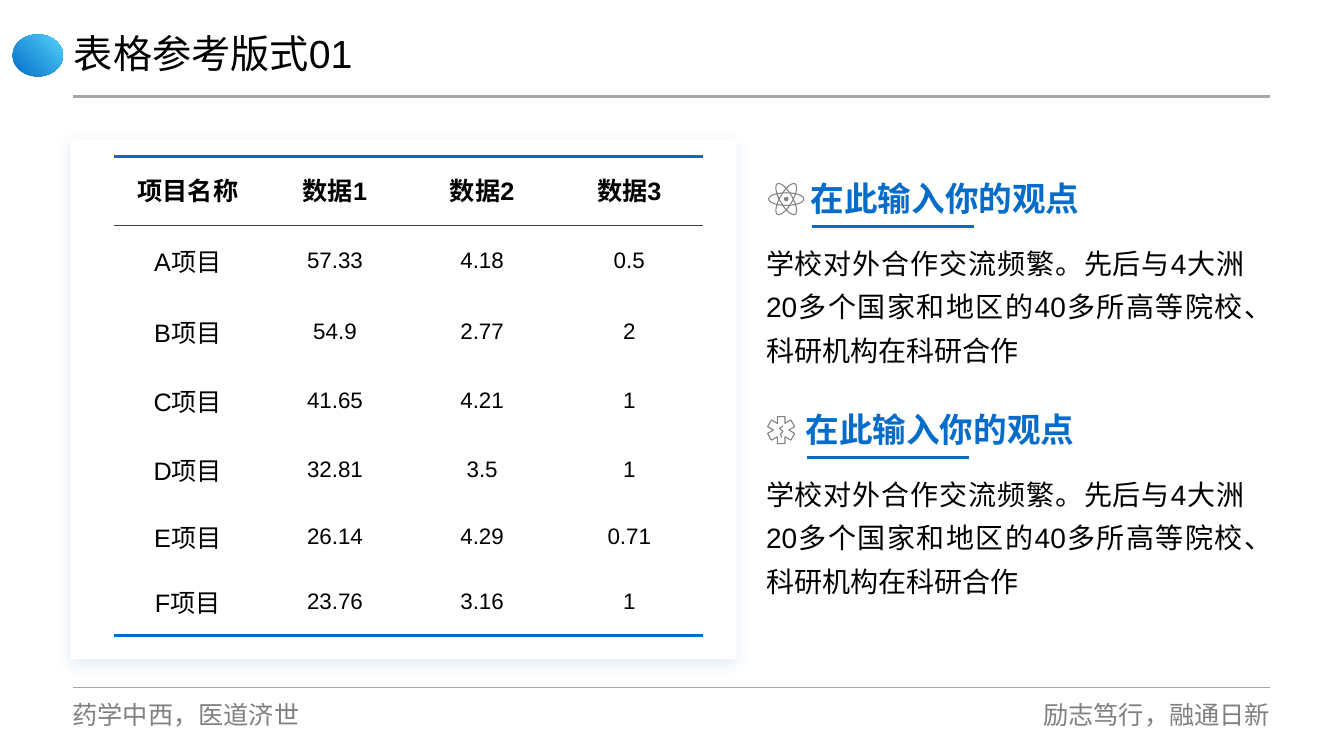
from dataclasses import dataclass
from math import cos, radians, sin

from lxml.etree import SubElement
from pptx import Presentation
from pptx.dml.color import RGBColor
from pptx.enum.shapes import MSO_CONNECTOR, MSO_SHAPE as SHAPE
from pptx.enum.text import MSO_ANCHOR as ANCHOR, PP_ALIGN as ALIGN
from pptx.oxml import parse_xml
from pptx.oxml.ns import nsdecls, qn
from pptx.util import Inches, Pt


@dataclass(frozen=True)
class Theme:
    blue: str = "056CC9"
    sky: str = "54D3FA"
    ink: str = "000000"
    dark: str = "404040"
    grey: str = "808080"
    rule: str = "A6A6A6"
    white: str = "FFFFFF"
    latin: str = "Arial"
    cjk: str = "Noto Sans CJK SC"
    title: int = 28
    heading: int = 24
    body: int = 20
    label: int = 18
    number: int = 16


class Deck:
    """Places elements on a grid of 160 columns by 90 rows."""

    def __init__(self, theme):
        self.t = theme
        self.prs = Presentation()
        self.prs.slide_width, self.prs.slide_height = Inches(13.33), Inches(7.5)
        self.s = self.prs.slides.add_slide(self.prs.slide_layouts[5])

    def x(self, cols):
        return round(self.prs.slide_width * cols / 160)

    def y(self, rows):
        return round(self.prs.slide_height * rows / 90)

    def box(self, x, y, w, h):
        return self.x(x), self.y(y), self.x(w), self.y(h)

    def format(self, p, size, color, bold=False, align=ALIGN.LEFT, spacing=1.0, latin=None):
        p.alignment, p.line_spacing, p.space_before = align, spacing, Pt(0)
        for r in p.runs:
            f = r.font
            f.size, f.bold, f.name = Pt(size), bold, latin or self.t.latin
            f.color.rgb = RGBColor.from_string(color)
            SubElement(f._element, qn("a:ea"), typeface=self.t.cjk)

    def fill_text(self, sp, text, size, color, pad=0.05, right=0.1, **style):
        tf = sp.text_frame
        tf.word_wrap = True
        tf.margin_left, tf.margin_right = 0, Inches(right)
        tf.margin_top = tf.margin_bottom = Inches(pad)
        tf.text = text
        self.format(tf.paragraphs[0], size, color, **style)
        return tf

    def title(self, text, *at):
        sp = self.s.shapes.title
        sp.left, sp.top, sp.width, sp.height = self.box(*at)
        tf = self.fill_text(sp, text, self.t.title, self.t.ink, right=0, spacing=0.9)
        tf.vertical_anchor = ANCHOR.MIDDLE

    def text(self, text, at, size, color, **style):
        sp = self.s.shapes.add_textbox(*self.box(*at))
        self.fill_text(sp, text, size, color, **style)

    def line(self, x1, x2, y, color, width):
        c = self.s.shapes.add_connector(
            MSO_CONNECTOR.STRAIGHT, self.x(x1), self.y(y), self.x(x2), self.y(y))
        c.line.color.rgb, c.line.width = RGBColor.from_string(color), Pt(width)
        SubElement(c._element.spPr, qn("a:effectLst"))

    def paint(self, sp, fill=None, stroke=None):
        sp.shadow.inherit = False
        if fill:
            sp.fill.solid()
            sp.fill.fore_color.rgb = RGBColor.from_string(fill)
        else:
            sp.fill.background()
        if stroke:
            sp.line.color.rgb, sp.line.width = RGBColor.from_string(stroke), Pt(0.75)
        else:
            sp.line.fill.background()
        return sp

    def shape(self, kind, at, fill=None, stroke=None):
        return self.paint(self.s.shapes.add_shape(kind, *self.box(*at)), fill, stroke)

    def outline(self, points, close):
        pts = [(self.x(px), self.y(py)) for px, py in points]
        fb = self.s.shapes.build_freeform(*pts[0])
        fb.add_line_segments(pts[1:], close=close)
        return self.paint(fb.convert_to_shape(), stroke=self.t.grey)

    def card(self, *at):
        sp = self.shape(SHAPE.RECTANGLE, at, self.t.white)
        shadow = parse_xml(
            f'<a:outerShdw {nsdecls("a")} blurRad="{Pt(10)}" dist="{Pt(3)}" dir="5400000">'
            f'<a:srgbClr val="{self.t.blue}"><a:alpha val="12000"/></a:srgbClr></a:outerShdw>')
        sp._element.spPr.find(qn("a:effectLst")).append(shadow)

    def borders(self, cell, top=None, bottom=None):
        tc_pr = cell._tc.get_or_add_tcPr()
        for side, edge in (("L", None), ("R", None), ("T", top), ("B", bottom)):
            ln = SubElement(tc_pr, qn(f"a:ln{side}"))
            if edge:
                color, width = edge
                ln.set("w", str(Pt(width)))
                SubElement(SubElement(ln, qn("a:solidFill")), qn("a:srgbClr"), val=color)
            else:
                SubElement(ln, qn("a:noFill"))

    def table(self, data, x, y, col, rows):
        n = len(data[0])
        table = self.s.shapes.add_table(
            len(data), n, *self.box(x, y, col * n, sum(rows))).table
        table.first_row = table.horz_banding = False
        thick, thin = (self.t.blue, 2.25), (self.t.dark, 0.75)
        tops = {0: thick, 1: thin}
        bottoms = {0: thin, len(data) - 1: thick}
        for c in table.columns:
            c.width = self.x(col)
        for i, values in enumerate(data):
            table.rows[i].height = self.y(rows[i])
            for j, value in enumerate(values):
                cell = table.cell(i, j)
                cell.text, cell.vertical_anchor = value, ANCHOR.MIDDLE
                size = self.t.number if i and j else self.t.label
                self.format(cell.text_frame.paragraphs[0], size, self.t.ink,
                            bold=i == 0, align=ALIGN.CENTER, spacing=0.9)
                self.borders(cell, tops.get(i), bottoms.get(i))
                cell.fill.background()

    def atom(self, cx, cy):
        for angle in (0, 60, 120):
            orbit = self.shape(SHAPE.OVAL, (cx - 2.1, cy - 0.75, 4.2, 1.5), stroke=self.t.grey)
            orbit.rotation = angle
        self.shape(SHAPE.OVAL, (cx - 0.27, cy - 0.27, 0.54, 0.54), self.t.grey)

    def medical_star(self, cx, cy):
        reach, half = 1.6, 0.46
        points = []
        for k in range(6):
            a = radians(60 * k - 90)
            for u, v in ((reach, -half), (reach, half), (half * 3 ** 0.5, half)):
                points.append((cx + u * cos(a) - v * sin(a), cy + u * sin(a) + v * cos(a)))
        self.outline(points, close=True)
        snake = ((0.2, -0.5), (-0.2, -0.2), (0.2, 0.15), (-0.1, 0.5), (0.05, 0.9))
        self.outline([(cx + dx, cy + dy) for dx, dy in snake], close=False)

    def viewpoint(self, x, y, icon, heading, body):
        t = self.t
        self.text(body, (91.2, y + 6.9, 58.1, 16.4), t.body, t.ink,
                  align=ALIGN.JUSTIFY, spacing=1.3)
        self.text(heading, (x, y, 43.8, 6), t.heading, t.blue, bold=True)
        icon(x - 2.9, y + 3.1)
        self.line(x + 0.2, x + 19.5, y + 6.4, t.blue, 2)


def main():
    t = Theme()
    d = Deck(t)

    # Header, with a plain emblem
    left, right = 8.64, 151.2
    emblem = d.shape(SHAPE.OVAL, (1.5, 4.1, 6, 5), t.blue)
    emblem.fill.gradient()
    emblem.fill.gradient_angle = 45
    for stop, color in zip(emblem.fill.gradient_stops, (t.blue, t.sky)):
        stop.color.rgb = RGBColor.from_string(color)
    d.title("表格参考版式01", 8.8, 2.9, 103.3, 7.4)
    d.line(left, right, 11.5, t.rule, 2.25)

    # Footer
    d.line(left, right, 81.8, t.rule, 0.5)
    for motto, x, align in (("药学中西，医道济世", left, ALIGN.LEFT),
                            ("励志笃行，融通日新", right - 31.7, ALIGN.RIGHT)):
        d.text(motto, (x, 83.2, 31.7, 3.6), t.label, t.grey,
               pad=0, right=0, align=align, latin=t.cjk)

    # Data card
    d.card(8.4, 16.6, 79.3, 61.9)
    d.table([
        ("项目名称", "数据1", "数据2", "数据3"),
        ("A项目", "57.33", "4.18", "0.5"),
        ("B项目", "54.9", "2.77", "2"),
        ("C项目", "41.65", "4.21", "1"),
        ("D项目", "32.81", "3.5", "1"),
        ("E项目", "26.14", "4.29", "0.71"),
        ("F项目", "23.76", "3.16", "1"),
    ], 13.6, 18.6, 17.52, (8.2, 8.7, 8.2, 8.2, 8.2, 7.8, 7.8))

    # Viewpoints
    body = "学校对外合作交流频繁。先后与4大洲20多个国家和地区的40多所高等院校、科研机构在科研合作"
    for x, y, icon in ((96.5, 20.6, d.atom), (95.9, 48.1, d.medical_star)):
        d.viewpoint(x, y, icon, "在此输入你的观点", body)

    d.prs.save("out.pptx")


if __name__ == "__main__":
    main()
